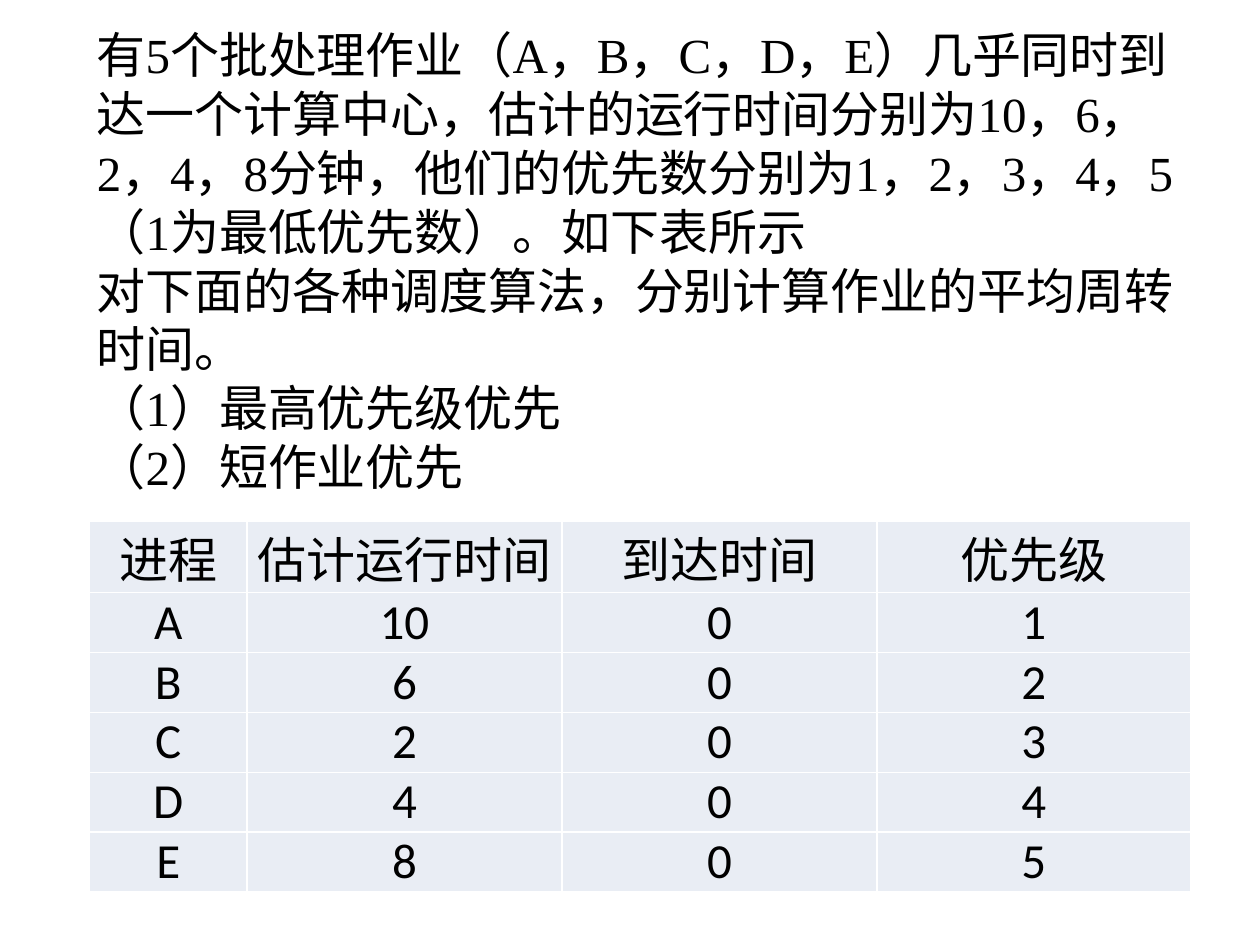
"""Builds a slide with a job scheduling exercise and its process table."""
from pptx import Presentation
from pptx.dml.color import RGBColor
from pptx.enum import text as t
from pptx.oxml import parse_xml
from pptx.oxml.ns import nsdecls
from pptx.util import Inches, Pt

BLACK = RGBColor(0x00, 0x00, 0x00)
PALE_BLUE = RGBColor(0xE9, 0xED, 0xF4)
WHITE = RGBColor(0xFF, 0xFF, 0xFF)

QUESTION = [
    "有5个批处理作业（A，B，C，D，E）几乎同时到达一个计算中心，估计的运行时间分别为"
    "10，6，2，4，8分钟，他们的优先数分别为1，2，3，4，5（1为最低优先数）。如下表所示",
    "对下面的各种调度算法，分别计算作业的平均周转时间。",
    "（1）最高优先级优先",
    "（2）短作业优先",
]
PROCESSES = [
    ("进程", "估计运行时间", "到达时间", "优先级"),
    ("A", "10", "0", "1"),
    ("B", "6", "0", "2"),
    ("C", "2", "0", "3"),
    ("D", "4", "0", "4"),
    ("E", "8", "0", "5"),
]
COLUMN_WIDTHS = [1.25, 2.5, 2.5, 2.49]
HEADER_HEIGHT, ROW_HEIGHT = 0.56, 0.47


def format_text(frame, font_name):
    """Give every run in the frame the slide's text size and colour."""
    for paragraph in frame.paragraphs:
        for span in paragraph.runs:
            span.font.name = font_name
            span.font.size = Pt(28)
            span.font.color.rgb = BLACK


def add_question(page):
    """Add the exercise text, one paragraph per item."""
    box = page.shapes.add_textbox(Inches(0.67), Inches(0.13), Inches(8.82), Inches(3.87))
    frame = box.text_frame
    frame.word_wrap = True
    frame.vertical_anchor = t.MSO_ANCHOR.MIDDLE
    frame.text = "\n".join(QUESTION)
    format_text(frame, "Times New Roman")


def add_borders(cell):
    """Draw a thin line on all four sides of a cell."""
    properties = cell._tc.get_or_add_tcPr()
    for index, side in enumerate(("lnL", "lnR", "lnT", "lnB")):
        line = parse_xml(
            f'<a:{side} {nsdecls("a")} w="{Pt(1)}"><a:solidFill>'
            f'<a:srgbClr val="{WHITE}"/></a:solidFill></a:{side}>'
        )
        properties.insert(index, line)


def fill_cell(cell, words):
    """Write and format one table cell."""
    cell.text = words
    cell.margin_left = cell.margin_right = Inches(0.07)
    cell.margin_top = cell.margin_bottom = 0
    cell.fill.solid()
    cell.fill.fore_color.rgb = PALE_BLUE
    cell.text_frame.paragraphs[0].alignment = t.PP_ALIGN.CENTER
    format_text(cell.text_frame, "Calibri")
    add_borders(cell)


def add_process_table(page):
    """Add the table of processes."""
    height = HEADER_HEIGHT + ROW_HEIGHT * (len(PROCESSES) - 1)
    table = page.shapes.add_table(
        len(PROCESSES), len(COLUMN_WIDTHS),
        Inches(0.71), Inches(4.14), Inches(sum(COLUMN_WIDTHS)), Inches(height),
    ).table
    for column, width in zip(table.columns, COLUMN_WIDTHS):
        column.width = Inches(width)
    for index, (row, values) in enumerate(zip(table.rows, PROCESSES)):
        row.height = Inches(ROW_HEIGHT if index else HEADER_HEIGHT)
        for cell, words in zip(row.cells, values):
            fill_cell(cell, words)
    table.first_row = table.horz_banding = False


def main():
    """Build and save the deck."""
    deck = Presentation()
    deck.slide_width, deck.slide_height = Inches(10), Inches(7.5)
    page = deck.slides.add_slide(deck.slide_layouts[6])
    add_process_table(page)
    add_question(page)
    deck.save("out.pptx")


main()
